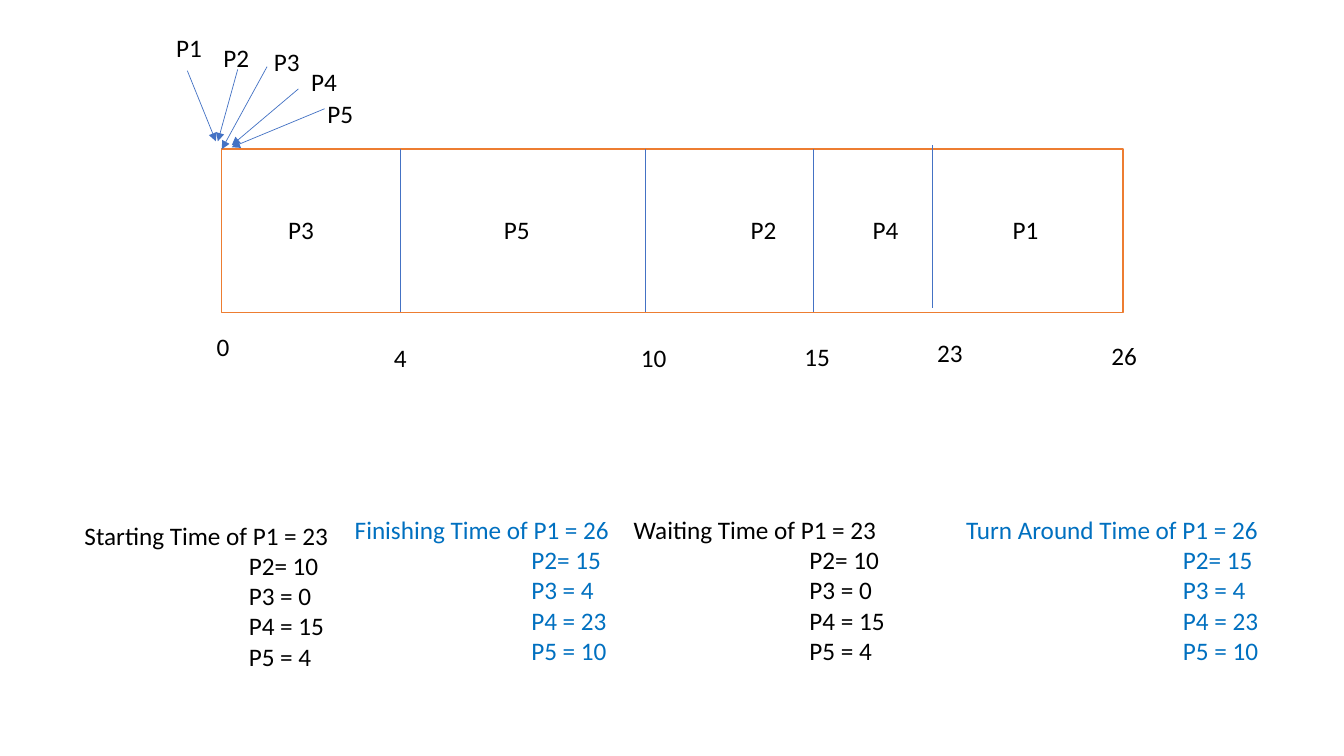
import pptx
import pptx.dml.color
import pptx.enum.dml
import pptx.enum.shapes
import pptx.enum.text
import pptx.oxml.ns
import pptx.util
from lxml import etree

Cm = pptx.util.Cm
Pt = pptx.util.Pt
RGBColor = pptx.dml.color.RGBColor
qn = pptx.oxml.ns.qn

BLACK = RGBColor(0x00, 0x00, 0x00)
WHITE = RGBColor(0xFF, 0xFF, 0xFF)
ORANGE = RGBColor(0xED, 0x7D, 0x31)
LINE_BLUE = RGBColor(0x44, 0x72, 0xC4)
TEXT_BLUE = RGBColor(0x00, 0x70, 0xC0)


class ScheduleSlide:
    """Holds the text and line style and draws elements on the current slide."""

    font_name = "Calibri"
    font_size = Pt(18)
    line_width = Pt(0.5)
    label_height = 1.02

    def __init__(self, slide):
        self.slide = slide

    def bar(self, left, top, width, height):
        shape = self.slide.shapes.add_shape(
            pptx.enum.shapes.MSO_SHAPE.RECTANGLE,
            Cm(left), Cm(top), Cm(width), Cm(height))
        shape.shadow.inherit = False
        shape.fill.solid()
        shape.fill.fore_color.rgb = WHITE
        shape.line.color.rgb = ORANGE
        shape.line.width = Pt(1)

    def line(self, start, end, arrow=False):
        connector = self.slide.shapes.add_connector(
            pptx.enum.shapes.MSO_CONNECTOR.STRAIGHT,
            *(Cm(length) for length in (*start, *end)))
        connector.line.color.rgb = LINE_BLUE
        connector.line.width = self.line_width
        if arrow:
            outline = connector.line._get_or_add_ln()
            etree.SubElement(outline, qn("a:tailEnd"), type="triangle")
        etree.SubElement(connector._element.spPr, qn("a:effectLst"))

    def text(self, text, left, top, width, height=label_height, color=BLACK, indent=0):
        box = self.slide.shapes.add_textbox(Cm(left), Cm(top), Cm(width), Cm(height))
        text_frame = box.text_frame
        text_frame.word_wrap = True
        text_frame.auto_size = pptx.enum.text.MSO_AUTO_SIZE.SHAPE_TO_FIT_TEXT
        text_frame.text = text
        for index, paragraph in enumerate(text_frame.paragraphs):
            if index and indent:
                properties = paragraph._p.get_or_add_pPr()
                properties.set("marL", str(Cm(indent)))
                properties.set("indent", "0")
            for run in paragraph.runs:
                run.font.name = self.font_name
                run.font.size = self.font_size
                run.font.color.rgb = color


presentation = pptx.Presentation()
presentation.slide_width = Cm(33.87)
presentation.slide_height = Cm(19.05)
schedule = ScheduleSlide(presentation.slides.add_slide(presentation.slide_layouts[6]))

BAR_TOP = 3.76
DIVIDER_HEIGHT = 4.09
schedule.bar(5.59, BAR_TOP, 22.71, 4.11)

arrivals = [
    ("P1", (4.19, 0.69, 1.32), (4.72, 1.78), (5.44, 3.56)),
    ("P2", (5.38, 0.94, 1.19), (5.99, 1.75), (5.49, 3.56)),
    ("P3", (6.65, 1.04, 1.35), (6.73, 1.68), (5.59, 3.76)),
    ("P4", (7.59, 1.55, 1.35), (7.52, 2.24), (5.84, 3.66)),
    ("P5", (8, 2.36, 1.68), (8.18, 2.74), (5.84, 3.71)),
]
for process, place, start, end in arrivals:
    schedule.text(process, *place)
    schedule.line(start, end, arrow=True)

dividers = [(10.08, BAR_TOP), (16.26, BAR_TOP), (20.5, BAR_TOP), (23.5, 3.66)]
for left, top in dividers:
    schedule.line((left, top), (left, top + DIVIDER_HEIGHT))

bursts = [("P3", 7.01, 1.47), ("P5", 12.45, 1.8), ("P2", 18.67, 2.59),
          ("P4", 21.74, 2.59), ("P1", 25.27, 2.59)]
for process, left, width in bursts:
    schedule.text(process, left, 5.28, width)

times = [("0", 5.21, 8.23), ("4", 9.68, 8.51), ("10", 15.9, 8.51),
         ("15", 20.02, 8.48), ("23", 23.37, 8.38), ("26", 27.76, 8.46)]
for time, left, top in times:
    schedule.text(time, left, top, 1.52)

summaries = [
    ("Starting", (23, 10, 0, 15, 4), 1.88, 12.98, BLACK, 4.14),
    ("Finishing", (26, 15, 4, 23, 10), 8.69, 12.83, TEXT_BLUE, 4.45),
    ("Waiting", (23, 10, 0, 15, 4), 15.72, 12.83, BLACK, 4.43),
    ("Turn Around", (26, 15, 4, 23, 10), 24.1, 12.83, TEXT_BLUE, 5.46),
]
for name, values, left, top, color, indent in summaries:
    first, second, *others = values
    lines = [f"{name} Time of P1 = {first}", f"P2= {second}"]
    lines += [f"P{number} = {value}" for number, value in enumerate(others, 3)]
    schedule.text("\n".join(lines), left, top, 10.11, 4.11, color, indent)

presentation.save("out.pptx")
